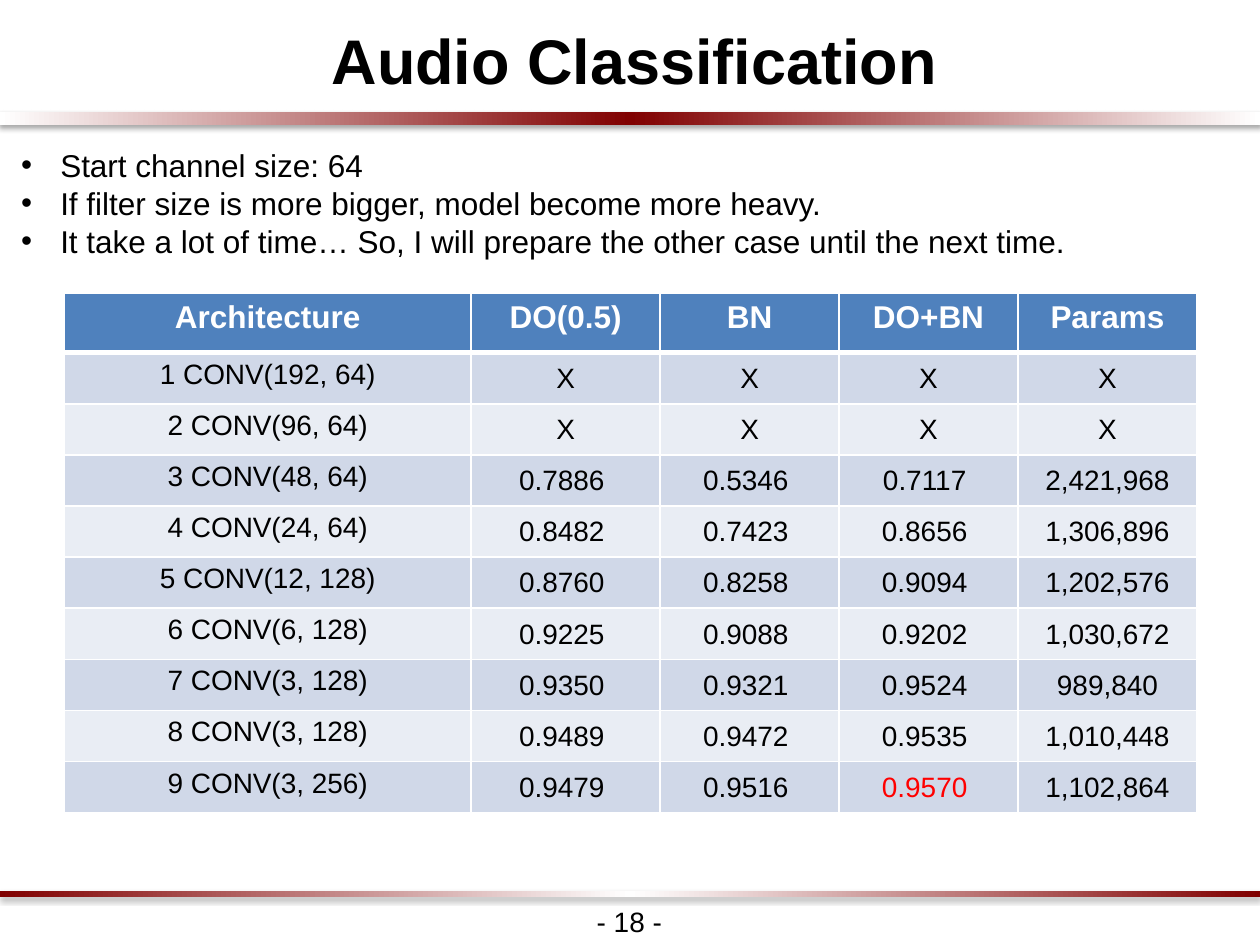
import dataclasses

import lxml.etree
import pptx
import pptx.dml.color
import pptx.enum.shapes
import pptx.enum.text
import pptx.oxml
import pptx.oxml.ns
import pptx.util

Inches = pptx.util.Inches
CENTER = pptx.enum.text.PP_ALIGN.CENTER
MIDDLE = pptx.enum.text.MSO_ANCHOR.MIDDLE


@dataclasses.dataclass(frozen=True)
class Theme:
    font: str = "Arial"
    text: str = "000000"
    white: str = "FFFFFF"
    maroon: str = "800000"
    header: str = "4F81BD"
    bands: tuple = ("D0D8E8", "E9EDF4")
    highlight: str = "FF0000"
    title_size: int = 36
    body_size: int = 18
    small_size: int = 16


THEME = Theme()

BULLETS = [
    "Start channel size: 64",
    "If filter size is more bigger, model become more heavy.",
    "It take a lot of time… So, I will prepare the other case until the next time.",
]
HEADERS = ["Architecture", "DO(0.5)", "BN", "DO+BN", "Params"]
RESULTS = [
    ["1 CONV(192, 64)", "X", "X", "X", "X"],
    ["2 CONV(96, 64)", "X", "X", "X", "X"],
    ["3 CONV(48, 64)", "0.7886 ", "0.5346 ", "0.7117 ", "2,421,968"],
    ["4 CONV(24, 64)", "0.8482 ", "0.7423 ", "0.8656 ", "1,306,896"],
    ["5 CONV(12, 128)", "0.8760 ", "0.8258 ", "0.9094 ", "1,202,576"],
    ["6 CONV(6, 128)", "0.9225 ", "0.9088 ", "0.9202 ", "1,030,672"],
    ["7 CONV(3, 128)", "0.9350 ", "0.9321 ", "0.9524 ", "989,840"],
    ["8 CONV(3, 128)", "0.9489 ", "0.9472 ", "0.9535 ", "1,010,448"],
    ["9 CONV(3, 256)", "0.9479 ", "0.9516 ", "0.9570 ", "1,102,864"],
]
BEST_SCORE = "0.9570 "
COLUMN_WIDTHS = [3.23, 1.5, 1.42, 1.42, 1.42]
TABLE_HEIGHT = 4.12
HEADER_HEIGHT = 0.47


def apply_format(target, values):
    for name, value in values.items():
        setattr(target, name, value)


def margins(left, top, right, bottom):
    names = ("margin_left", "margin_top", "margin_right", "margin_bottom")
    return dict(zip(names, map(Inches, (left, top, right, bottom))))


def drawing_element(tag, content="", **attributes):
    listed = "".join(f' {name}="{value}"' for name, value in attributes.items())
    namespace = pptx.oxml.ns.nsdecls("a")
    return pptx.oxml.parse_xml(f"<a:{tag} {namespace}{listed}>{content}</a:{tag}>")


def solid_color(color):
    return f'<a:solidFill><a:srgbClr val="{color}"/></a:solidFill>'


def write_run(paragraph, text, size, color=THEME.text, bold=False):
    run = paragraph.add_run()
    run.text = text
    apply_format(run.font, {"name": THEME.font, "size": pptx.util.Pt(size), "bold": bold})
    run.font.color.rgb = pptx.dml.color.RGBColor.from_string(color)


def add_gradient_bar(slide, top, height, edge, middle):
    bar = slide.shapes.add_shape(
        pptx.enum.shapes.MSO_SHAPE.RECTANGLE, 0, Inches(top), Inches(10), Inches(height))
    bar.line.fill.background()
    stops = "".join(
        f'<a:gs pos="{position}"><a:srgbClr val="{color}"/></a:gs>'
        for position, color in ((0, edge), (50000, middle), (100000, edge)))
    gradient = drawing_element(
        "gradFill", f'<a:gsLst>{stops}</a:gsLst><a:lin ang="0" scaled="0"/>', rotWithShape=1)
    shadow = drawing_element(
        "effectLst",
        f'<a:outerShdw blurRad="{pptx.util.Pt(3.1)}" dist="{pptx.util.Pt(1.8)}" '
        f'dir="5400000" rotWithShape="0"><a:srgbClr val="{THEME.text}">'
        '<a:alpha val="35000"/></a:srgbClr></a:outerShdw>')
    properties = bar.element.spPr
    outline = properties.find(pptx.oxml.ns.qn("a:ln"))
    outline.addprevious(gradient)
    outline.addnext(shadow)


def add_text(slide, position, lines, size, bold=False, frame_format=None,
             paragraph_format=None, indent=None, bullet=None):
    box = slide.shapes.add_textbox(*map(Inches, position))
    frame = box.text_frame
    apply_format(frame, {"word_wrap": True, **(frame_format or {})})
    for index, line in enumerate(lines):
        paragraph = frame.paragraphs[0] if index == 0 else frame.add_paragraph()
        apply_format(paragraph, paragraph_format or {})
        write_run(paragraph, line, size, bold=bold)
        properties = paragraph._p.get_or_add_pPr()
        if indent:
            left, first = indent
            properties.set("marL", str(Inches(left)))
            properties.set("indent", str(Inches(first)))
        if bullet:
            properties.append(drawing_element("buFont", typeface=THEME.font))
            properties.append(drawing_element("buChar", char=bullet))


def set_borders(cell, top, bottom):
    properties = cell._tc.get_or_add_tcPr()
    widths = {"lnL": 1, "lnR": 1, "lnT": top, "lnB": bottom}
    for index, (side, width) in enumerate(widths.items()):
        border = drawing_element(side, solid_color(THEME.white), w=pptx.util.Pt(width))
        properties.insert(index, border)


def fill_cell(cell, text, fill, size, color, bold, cell_format, top, bottom):
    apply_format(cell, cell_format)
    cell.fill.solid()
    cell.fill.fore_color.rgb = pptx.dml.color.RGBColor.from_string(fill)
    paragraph = cell.text_frame.paragraphs[0]
    paragraph.alignment = CENTER
    write_run(paragraph, text, size, color, bold)
    set_borders(cell, top, bottom)


def add_results_table(slide):
    frame = slide.shapes.add_table(
        len(RESULTS) + 1, len(HEADERS), Inches(0.51), Inches(2.33),
        Inches(sum(COLUMN_WIDTHS)), Inches(TABLE_HEIGHT))
    table = frame.table
    for column, width in zip(table.columns, COLUMN_WIDTHS):
        column.width = Inches(width)
    body_height = (TABLE_HEIGHT - HEADER_HEIGHT) / len(RESULTS)
    for index, row in enumerate(table.rows):
        row.height = Inches(body_height if index else HEADER_HEIGHT)
    for column, text in enumerate(HEADERS):
        fill_cell(table.cell(0, column), text, THEME.header, THEME.body_size,
                  THEME.white, True, {}, 1, 3)
    value_format = {"vertical_anchor": MIDDLE, **margins(0.01, 0.01, 0.01, 0)}
    for row, values in enumerate(RESULTS, start=1):
        for column, text in enumerate(values):
            color = THEME.highlight if text == BEST_SCORE else THEME.text
            fill_cell(table.cell(row, column), text, THEME.bands[(row - 1) % 2],
                      THEME.small_size, color, False,
                      value_format if column else {}, 3 if row == 1 else 1, 1)


def main():
    presentation = pptx.Presentation()
    apply_format(presentation, {"slide_width": Inches(10), "slide_height": Inches(7.5)})
    slide = presentation.slides.add_slide(presentation.slide_layouts[6])
    add_gradient_bar(slide, 0.89, 0.1, THEME.white, THEME.maroon)
    add_gradient_bar(slide, 7.07, 0.05, THEME.maroon, THEME.white)
    add_text(slide, (-0.23, 0.03, 10.45, 0.79), ["Audio Classification"],
             THEME.title_size, bold=True,
             frame_format={"vertical_anchor": MIDDLE, **margins(0.1, 0.1, 0.1, 0.1)},
             paragraph_format={"alignment": CENTER, "line_spacing": 1.15},
             indent=(0.08, 0))
    add_text(slide, (0.07, 1.11, 9.42, 1.06), BULLETS, THEME.body_size,
             indent=(0.31, -0.31), bullet="•")
    add_results_table(slide)
    add_text(slide, (3.83, 7.13, 2.33, 0.37), ["- 18 -"], THEME.small_size,
             paragraph_format={"alignment": CENTER})
    presentation.save("out.pptx")


if __name__ == "__main__":
    main()
